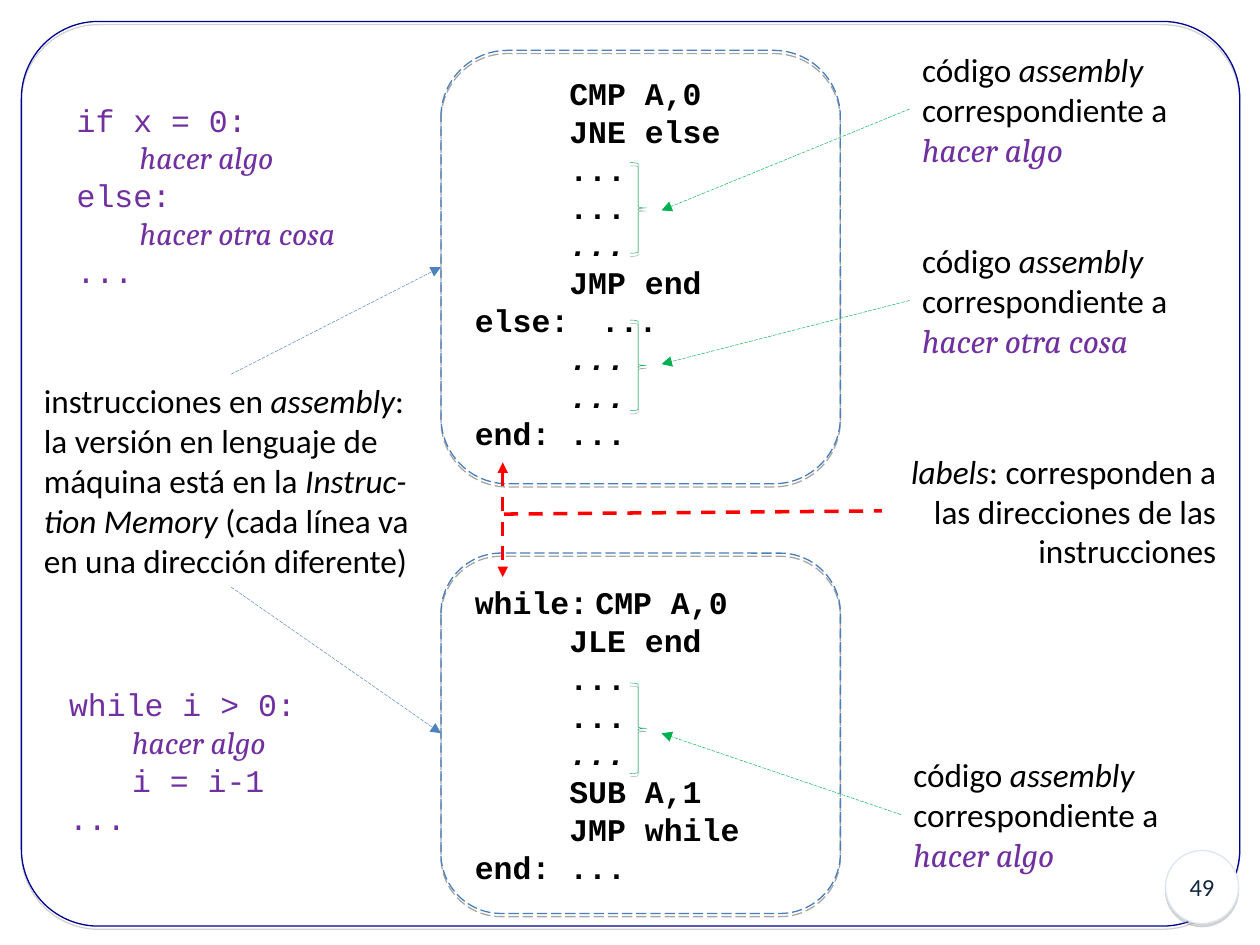
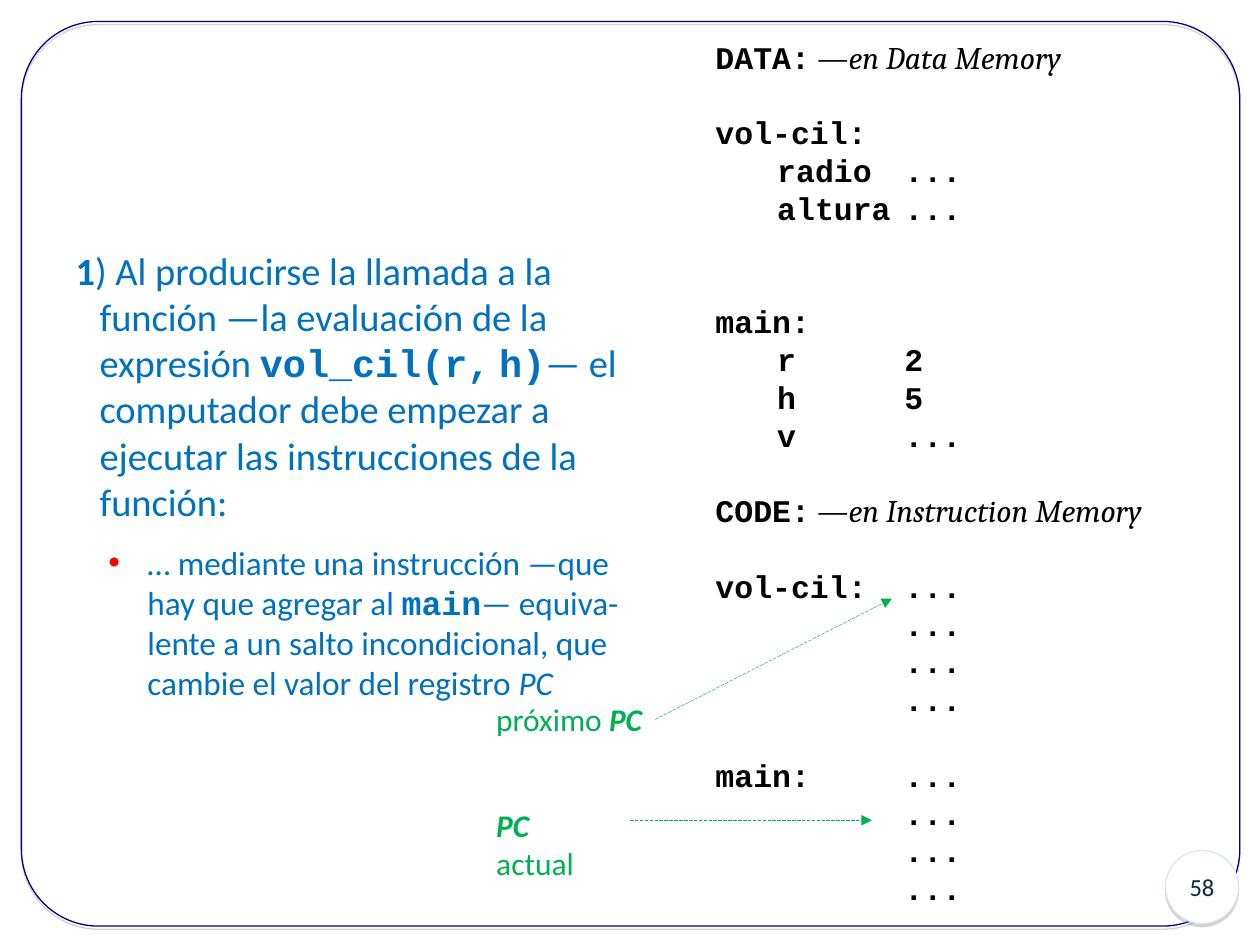
"""Build two slides on assembly code, labels and function calls."""
from lxml import etree
from pptx import Presentation
from pptx.dml.color import RGBColor as RGB
from pptx.enum.dml import MSO_LINE as DASH
from pptx.enum.shapes import MSO_CONNECTOR, MSO_SHAPE as SHAPE
from pptx.enum.text import MSO_ANCHOR, MSO_AUTO_SIZE as FIT, PP_ALIGN as ALIGN
from pptx.oxml.ns import qn
from pptx.util import Pt

PX = 9144
LEADING = 1.2
NAVY = RGB(0x00, 0x00, 0x90)
INK = RGB(0x10, 0x25, 0x3F)
PALE = RGB(0xDC, 0xE6, 0xF2)
WHITE = RGB(0xFF, 0xFF, 0xFF)
BLACK = RGB(0x00, 0x00, 0x00)
GRAY = RGB(0x80, 0x80, 0x80)
PURPLE = RGB(0x70, 0x30, 0xA0)
BLUE = RGB(0x4A, 0x7E, 0xBB)
STEEL = RGB(0x4F, 0x81, 0xBD)
GREEN = RGB(0x00, 0xB0, 0x50)
RED = RGB(0xFF, 0x00, 0x00)
SKY = RGB(0x00, 0x70, 0xC0)

PAGE = dict(name="Calibri", size=Pt(14), color=INK)
PSEUDO = dict(name="Courier New", size=Pt(18), color=PURPLE)
STEP = PSEUDO | dict(name="Cambria", italic=True)
ASM = dict(name="Courier New", size=Pt(18), color=BLACK, bold=True)
ASM_IT = ASM | dict(italic=True)
GAP = ASM | dict(name="Calibri")
REMARK = dict(name="Cambria", size=Pt(18), color=BLACK)
REMARK_IT = REMARK | dict(italic=True)
NOTE = dict(name="Calibri", size=Pt(19), color=BLACK)
NOTE_IT = NOTE | dict(italic=True)
NOTE_STEP = STEP | dict(size=Pt(19))
POINTER = dict(name="Calibri", size=Pt(18), color=GREEN)
POINTER_PC = POINTER | dict(bold=True, italic=True)
ITEM = dict(name="Calibri", size=Pt(22), color=SKY)
ITEM_BOLD = ITEM | dict(bold=True)
ITEM_CODE = ITEM_BOLD | dict(name="Courier New")
SUB = ITEM | dict(size=Pt(19))
SUB_CODE = ITEM_CODE | dict(size=Pt(19))
SUB_IT = SUB | dict(italic=True)


def write(sp, paras, tabs=(), gaps={}, wrap=True, fit=FIT.SHAPE_TO_FIT_TEXT, align=ALIGN.LEFT):
    tf = sp.text_frame
    tf.word_wrap = wrap
    tf.auto_size = fit
    for i, runs in enumerate(paras):
        p = tf.paragraphs[0] if i == 0 else tf.add_paragraph()
        p.alignment = align
        p.line_spacing = Pt(LEADING * runs[0][1]["size"].pt)
        p.space_before = Pt(gaps.get(i, 0))
        if tabs:
            lst = etree.SubElement(p._p.get_or_add_pPr(), qn("a:tabLst"))
            for pos in tabs:
                etree.SubElement(lst, qn("a:tab"), pos=str(pos * PX), algn="l")
        for text, fmt in runs:
            r = p.add_run()
            r.text = text
            for key, value in fmt.items():
                if key == "color":
                    r.font.color.rgb = value
                else:
                    setattr(r.font, key, value)
    return sp


def outline(sp, color, width, dash=None, shadow=None, ends=()):
    sp.line.color.rgb = color
    sp.line.width = Pt(width)
    if dash:
        sp.line.dash_style = dash
    spPr = sp._element.spPr
    for end in ends:
        etree.SubElement(spPr.find(qn("a:ln")), qn(f"a:{end}End"), type="triangle")
    effects = etree.SubElement(spPr, qn("a:effectLst"))
    if shadow:
        outer = etree.SubElement(effects, qn("a:outerShdw"), dist=str(Pt(1.8)),
                                 dir="5400000", rotWithShape="0")
        clr = etree.SubElement(outer, qn("a:srgbClr"), val=str(shadow))
        etree.SubElement(clr, qn("a:alpha"), val="35000")
    return sp


prs = Presentation()
prs.slide_width, prs.slide_height = 1000 * PX, 750 * PX
s1 = prs.slides.add_slide(prs.slide_layouts[6])
s2 = prs.slides.add_slide(prs.slide_layouts[1])

for s, number in ((s1, "49"), (s2, "58")):
    frame = s.shapes.add_shape(SHAPE.ROUNDED_RECTANGLE, 17 * PX, 17 * PX, 967 * PX, 718 * PX)
    frame.adjustments[0] = 0.085
    frame.fill.background()
    outline(frame, NAVY, 0.75, shadow=GRAY)
    badge = s.shapes.add_shape(SHAPE.OVAL, 925 * PX, 675 * PX, 58 * PX, 58 * PX)
    badge.fill.solid()
    badge.fill.fore_color.rgb = WHITE
    outline(badge, PALE, 0.75, shadow=GRAY)
    write(badge, [[(number, PAGE)]], fit=FIT.NONE, align=ALIGN.CENTER)

if_lines = [
    [("if x = 0:", PSEUDO)],
    [("\t", PSEUDO), ("hacer algo", STEP)],
    [("else:", PSEUDO)],
    [("\t", PSEUDO), ("hacer otra cosa", STEP)],
    [("...", PSEUDO)],
]
while_lines = [
    [("while i > 0:", PSEUDO)],
    [("\t", PSEUDO), ("hacer algo", STEP)],
    [("\ti = i-1", PSEUDO)],
    [("...", PSEUDO)],
]
for x, y, w, h, lines in ((51, 75, 242, 160, if_lines), (45, 539, 200, 130, while_lines)):
    sp = s1.shapes.add_textbox(x * PX, y * PX, w * PX, h * PX)
    write(sp, lines, tabs=(50, 100), wrap=False)

sp = s1.shapes.add_textbox(25 * PX, 297 * PX, 317 * PX, 169 * PX)
note = write(sp, [[
    ("instrucciones en ", NOTE), ("assembly", NOTE_IT),
    (": la versión en lenguaje de máquina está en la ", NOTE),
    ("Instruc-tion Memory", NOTE_IT),
    (" (cada línea va en una dirección diferente)", NOTE),
]])

if_asm = [
    [("\tCMP A,0", ASM)], [("\tJNE else", ASM)], [("\t...", ASM)], [("\t...", ASM)],
    [("\t...", ASM_IT)], [("\tJMP end", ASM)], [("else:\t...", ASM)],
    [("\t...", ASM_IT)], [("\t...", ASM_IT)], [("end:\t...", ASM)],
]
while_asm = [
    [("while:", ASM), (" ", GAP), ("CMP A,0", ASM)], [("\tJLE end", ASM)],
    [("\t...", ASM)], [("\t...", ASM)], [("\t...", ASM_IT)],
    [("\tSUB A,1", ASM)], [("\tJMP while", ASM)], [("end:\t...", ASM)],
]
for lines, text_y, text_h, box_y, box_h, side in (
        (if_asm, 54, 310, 40, 344, 0), (while_asm, 458, 250, 439, 286, 2)):
    sp = s1.shapes.add_textbox(367 * PX, text_y * PX, 292 * PX, text_h * PX)
    write(sp, lines, tabs=(75, 100, 150))
    box = s1.shapes.add_shape(SHAPE.ROUNDED_RECTANGLE, 350 * PX, box_y * PX, 317 * PX, box_h * PX)
    box.fill.background()
    outline(box, BLUE, 0.75, DASH.LONG_DASH, BLACK)
    arrow = s1.shapes.add_connector(MSO_CONNECTOR.STRAIGHT, 0, 0, 0, 0)
    arrow.begin_connect(note, side)
    arrow.end_connect(box, 1)
    outline(arrow, STEEL, 0.25, DASH.LONG_DASH, ends=("tail",))

for x, y, step, brace_y, tip_y in (
        (722, 34, "hacer algo", 129, 167),
        (722, 186, "hacer otra cosa", 254, 289),
        (715, 594, "hacer algo", 542, 582)):
    label = s1.shapes.add_textbox(x * PX, y * PX, 215 * PX, 105 * PX)
    write(label, [
        [("código ", NOTE), ("assembly", NOTE_IT)],
        [("correspondiente a", NOTE)],
        [(step, NOTE_STEP)],
    ], wrap=False)
    brace = s1.shapes.add_shape(SHAPE.RIGHT_BRACE, 500 * PX, brace_y * PX, 13 * PX, 72 * PX)
    brace.fill.background()
    outline(brace, GREEN, 0.25, shadow=BLACK)
    arrow = s1.shapes.add_connector(MSO_CONNECTOR.STRAIGHT, 0, 0, 525 * PX, tip_y * PX)
    arrow.begin_connect(label, 1)
    outline(arrow, GREEN, 0.25, DASH.LONG_DASH, ends=("tail",))

labels = s1.shapes.add_textbox(700 * PX, 353 * PX, 275 * PX, 105 * PX)
write(labels, [[
    ("labels", NOTE_IT),
    (": corresponden a las direcciones de las instrucciones", NOTE),
]], align=ALIGN.RIGHT)
span = s1.shapes.add_connector(MSO_CONNECTOR.STRAIGHT, 399 * PX, 367 * PX, 399 * PX, 458 * PX)
outline(span, RED, 2, DASH.DASH, ends=("head", "tail"))
link = s1.shapes.add_connector(MSO_CONNECTOR.STRAIGHT, 400 * PX, 408 * PX, 700 * PX, 406 * PX)
link.end_connect(labels, 1)
outline(link, RED, 2, DASH.DASH)

title = s2.shapes.title
title._element.getparent().remove(title._element)
body = s2.placeholders[1]
body.left, body.top, body.width, body.height = 50 * PX, 33 * PX, 467 * PX, 687 * PX
body.text_frame.vertical_anchor = MSO_ANCHOR.MIDDLE
write(body, [
    [("1", ITEM_BOLD),
     (") Al producirse la llamada a la función —la evaluación de la expresión ", ITEM),
     ("vol_cil(r,", ITEM_CODE), (" ", ITEM_BOLD), ("h)", ITEM_CODE),
     ("— el computador debe empezar a ejecutar las instrucciones de la función:", ITEM)],
    [("… mediante una instrucción —que hay que agregar al ", SUB),
     ("main", SUB_CODE),
     ("— equiva-lente a un salto incondicional, que cambie el valor del registro ", SUB),
     ("PC", SUB_IT)],
], gaps={1: 10.5}, fit=FIT.NONE)
item, sub = body.text_frame.paragraphs
sub.level = 1
for p, left, hang in ((item, 19, 19), (sub, 57, 31)):
    pPr = p._p.get_or_add_pPr()
    pPr.set("marL", str(left * PX))
    pPr.set("indent", str(-hang * PX))
etree.SubElement(item._p.pPr, qn("a:buNone"))
bullet_color = etree.SubElement(sub._p.pPr, qn("a:buClr"))
etree.SubElement(bullet_color, qn("a:srgbClr"), val=str(RED))
etree.SubElement(sub._p.pPr, qn("a:buChar"), char="•")

data_lines = ["vol-cil:", "\tradio\t\t...", "\taltura\t...",
              "main:", "\tr\t\t2", "\th\t\t5", "\tv\t\t..."]
code_lines = [line for name in ("vol-cil:", "main:")
              for line in [f"{name}\t\t..."] + ["\t\t\t..."] * 3]
listing = []
for head, place, lines in (("DATA:", "en Data Memory", data_lines),
                           ("CODE:", "en Instruction Memory", code_lines)):
    listing.append([(head, ASM), (" ", GAP), ("—", REMARK), (place, REMARK_IT)])
    listing += [[(line, ASM)] for line in lines]
row = LEADING * 18
sp = s2.shapes.add_textbox(558 * PX, 25 * PX, 392 * PX, 700 * PX)
write(sp, listing, tabs=(49, 125, 150, 200),
      gaps={1: row, 4: 2 * row, 8: row, 9: row, 13: row})

sp = s2.shapes.add_textbox(384 * PX, 635 * PX, 113 * PX, 40 * PX)
write(sp, [[("PC", POINTER_PC), (" actual", POINTER)]], wrap=False)
upcoming = s2.shapes.add_textbox(384 * PX, 551 * PX, 136 * PX, 40 * PX)
write(upcoming, [[("próximo ", POINTER), ("PC", POINTER_PC)]], wrap=False)
now_arrow = s2.shapes.add_connector(MSO_CONNECTOR.STRAIGHT, 500 * PX, 651 * PX, 692 * PX, 651 * PX)
next_arrow = s2.shapes.add_connector(MSO_CONNECTOR.STRAIGHT, 521 * PX, 572 * PX, 708 * PX, 475 * PX)
next_arrow.begin_connect(upcoming, 3)
for arrow in (now_arrow, next_arrow):
    outline(arrow, GREEN, 0.25, DASH.LONG_DASH, ends=("tail",))

prs.save("out.pptx")
